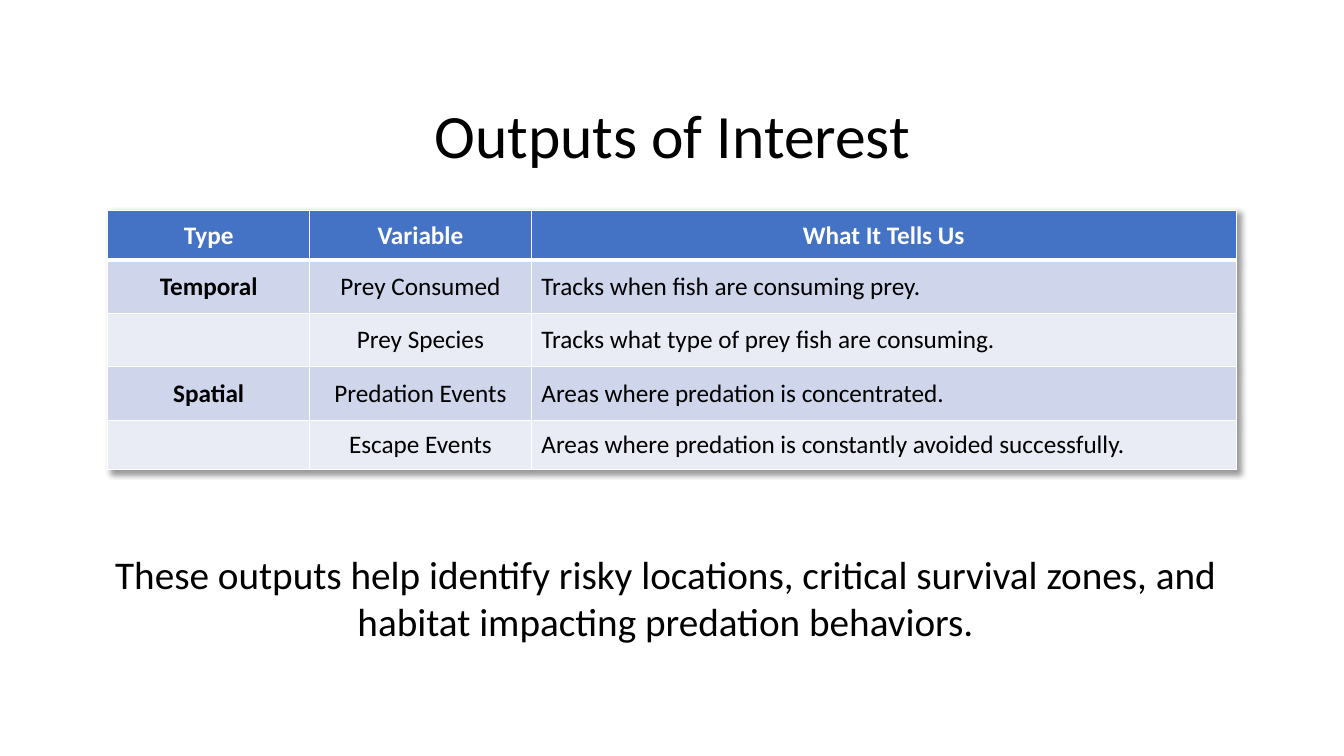
from lxml.etree import SubElement
from pptx import Presentation
from pptx.dml.color import RGBColor
from pptx.enum.text import MSO_ANCHOR, MSO_AUTO_SIZE, PP_ALIGN
from pptx.oxml import parse_xml
from pptx.oxml.ns import nsdecls, qn
from pptx.util import Pt

EMU_PER_PX = 9144
COLORS = {
    "text": "000000",
    "white": "FFFFFF",
    "header": "4472C4",
    "odd_row": "CFD5EA",
    "even_row": "E9EBF5",
}
HEADINGS = ("Type", "Variable", "What It Tells Us")
OUTPUTS = (
    ("Temporal", "Prey Consumed", "Tracks when fish are consuming prey."),
    ("", "Prey Species", "Tracks what type of prey fish are consuming."),
    ("Spatial", "Predation Events", "Areas where predation is concentrated."),
    ("", "Escape Events", "Areas where predation is constantly avoided successfully."),
)
COLUMN_WIDTHS = (200, 220, 699)
ROW_HEIGHTS = (49, 53, 53, 53, 49)


def px(length):
    return length * EMU_PER_PX


class SlideBuilder:
    font = "Calibri"

    def __init__(self, slide):
        self.slide = slide

    def add_words(self, frame, text, size, color="text", bold=False, align=PP_ALIGN.CENTER):
        paragraph = frame.paragraphs[0]
        paragraph.alignment = align
        run = paragraph.add_run()
        run.text = text
        run.font.name = self.font
        run.font.size = Pt(size)
        run.font.bold = bold
        run.font.color.rgb = RGBColor.from_string(COLORS[color])
        return paragraph

    def text(self, box, text, size, anchor=MSO_ANCHOR.TOP, spacing=1.0, fit=MSO_AUTO_SIZE.NONE):
        frame = self.slide.shapes.add_textbox(*map(px, box)).text_frame
        frame.word_wrap = True
        frame.auto_size = fit
        frame.vertical_anchor = anchor
        self.add_words(frame, text, size).line_spacing = spacing

    def borders(self, cell, bottom):
        properties = cell._tc.get_or_add_tcPr()
        for side, points in (("L", 1), ("R", 1), ("T", 1), ("B", bottom)):
            line = SubElement(properties, qn(f"a:ln{side}"), w=str(Pt(points)))
            fill = SubElement(line, qn("a:solidFill"))
            SubElement(fill, qn("a:srgbClr"), val=COLORS["white"])

    def shadow(self, table):
        table._tbl.tblPr.insert(0, parse_xml(
            f'<a:effectLst {nsdecls("a")}>'
            '<a:outerShdw blurRad="50800" dist="38100" dir="2700000" algn="tl" rotWithShape="0">'
            '<a:prstClr val="black"><a:alpha val="40000"/></a:prstClr>'
            '</a:outerShdw></a:effectLst>'
        ))

    def table(self, left, top, rows, widths, heights, size):
        box = (left, top, sum(widths), sum(heights))
        table = self.slide.shapes.add_table(len(rows), len(widths), *map(px, box)).table
        self.shadow(table)
        for column, width in zip(table.columns, widths):
            column.width = px(width)
        for r, (row, height) in enumerate(zip(rows, heights)):
            table.rows[r].height = px(height)
            header = r == 0
            fill = "header" if header else "odd_row" if r % 2 else "even_row"
            for c, text in enumerate(row):
                cell = table.cell(r, c)
                self.borders(cell, 3 if header else 1)
                cell.fill.solid()
                cell.fill.fore_color.rgb = RGBColor.from_string(COLORS[fill])
                cell.vertical_anchor = MSO_ANCHOR.MIDDLE
                if text:
                    centered = header or c < 2
                    self.add_words(
                        cell.text_frame, text, size,
                        color="white" if header else "text",
                        bold=header or c == 0,
                        align=PP_ALIGN.CENTER if centered else PP_ALIGN.LEFT,
                    )


def main():
    deck = Presentation()
    deck.slide_width, deck.slide_height = px(1333), px(750)
    builder = SlideBuilder(deck.slides.add_slide(deck.slide_layouts[6]))
    builder.text((92, 65, 1150, 145), "Outputs of Interest", 44,
                 anchor=MSO_ANCHOR.MIDDLE, spacing=0.9)
    builder.table(107, 209, (HEADINGS, *OUTPUTS), COLUMN_WIDTHS, ROW_HEIGHTS, 18)
    builder.text(
        (92, 541, 1136, 104),
        "These outputs help identify risky locations, critical survival zones, "
        "and habitat impacting predation behaviors.",
        28, fit=MSO_AUTO_SIZE.SHAPE_TO_FIT_TEXT,
    )
    deck.save("out.pptx")


if __name__ == "__main__":
    main()
